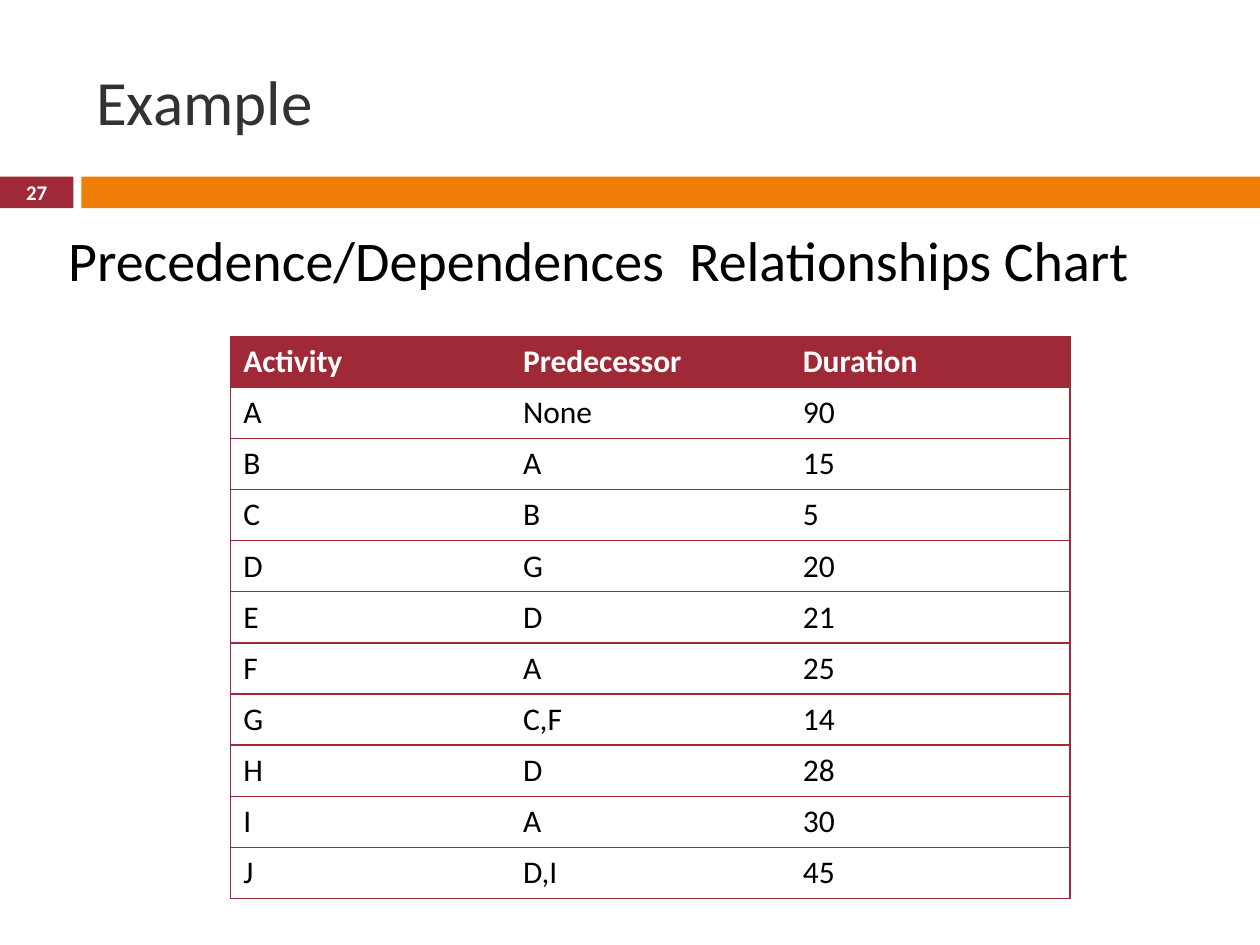
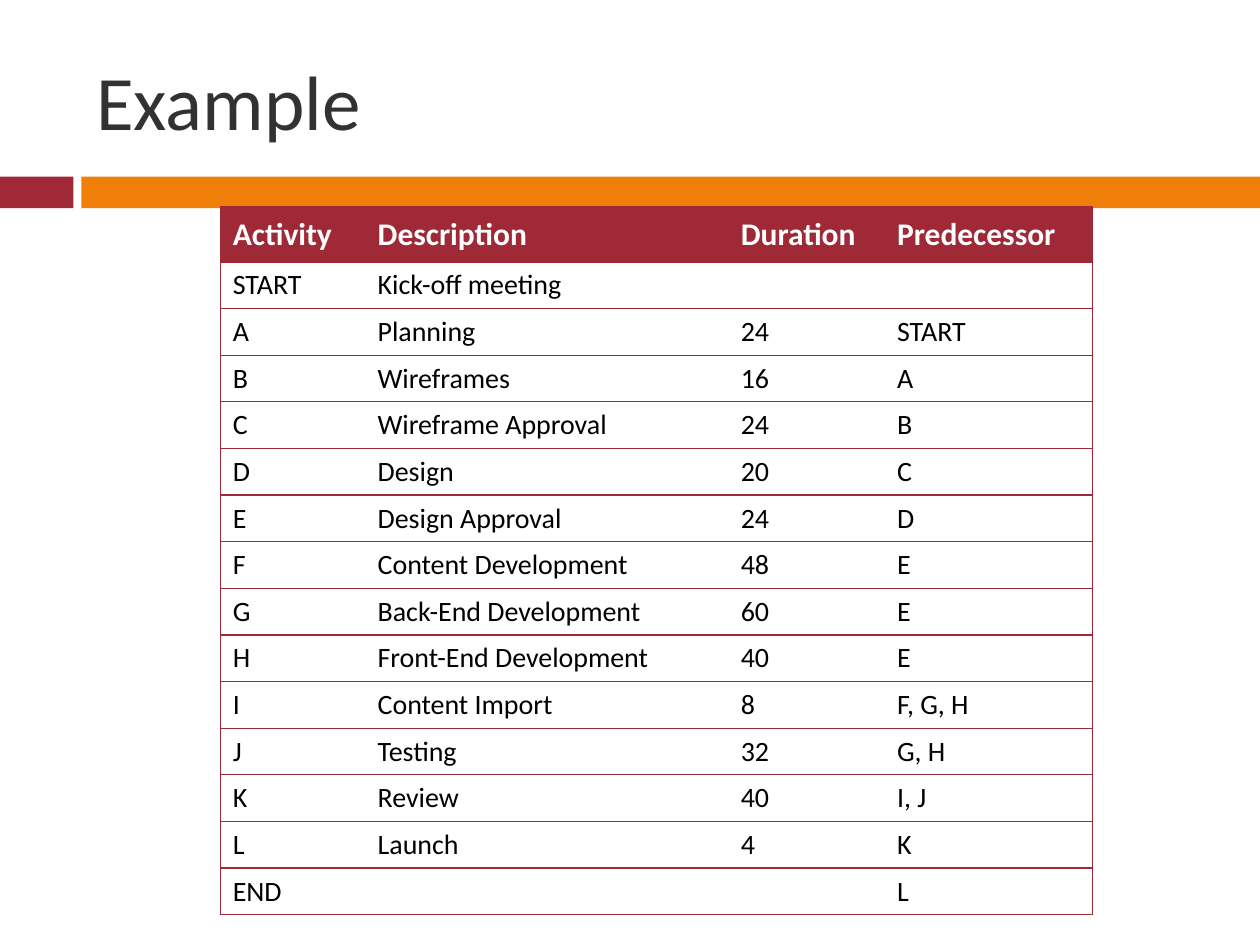
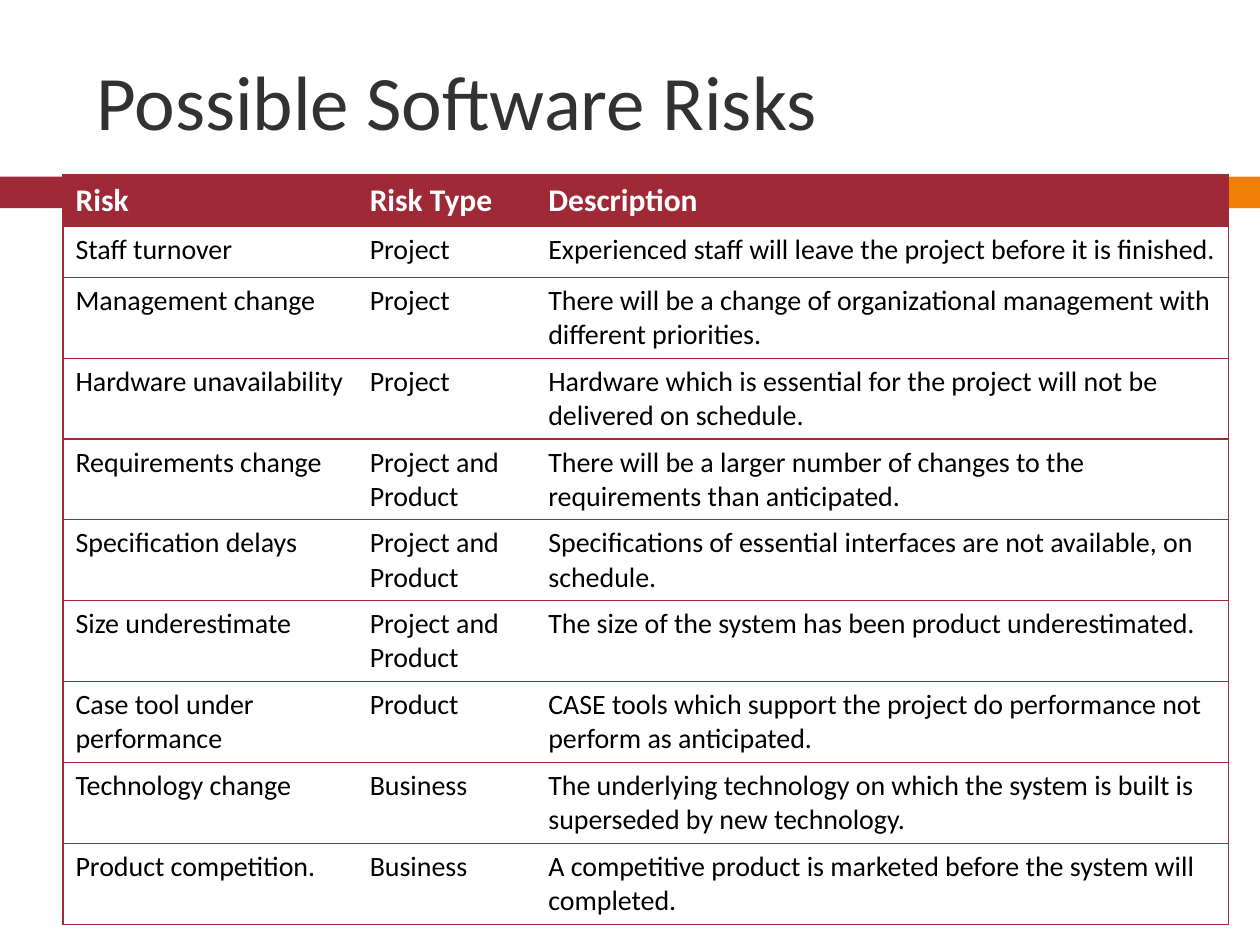
"""Build three slides on activity precedence, project planning and software risks."""
import dataclasses

import lxml.etree
import pptx
import pptx.dml.color
import pptx.enum.shapes
import pptx.enum.text
import pptx.oxml.ns
import pptx.util

Cm = pptx.util.Cm
Pt = pptx.util.Pt
ALIGN = pptx.enum.text.PP_ALIGN
ANCHOR = pptx.enum.text.MSO_ANCHOR


@dataclasses.dataclass(frozen=True)
class Theme:
    font: str = "Calibri"
    crimson: str = "9F2936"
    orange: str = "F07F09"
    charcoal: str = "323232"
    black: str = "000000"
    white: str = "FFFFFF"
    title_size: float = 44
    short_title_size: float = 36
    heading_size: float = 32
    header_size: float = 18
    body_size: float = 16
    number_size: float = 11.9
    rule_width: float = 0.79


class Deck:
    def __init__(self, theme, width, height):
        self.theme = theme
        self.width = width
        self.presentation = pptx.Presentation()
        self.presentation.slide_width = Cm(width)
        self.presentation.slide_height = Cm(height)
        self.slide = None

    def add_slide(self, title, size=None, number=None):
        self.slide = self.presentation.slides.add_slide(self.presentation.slide_layouts[6])
        self.band(0, 1.48, self.theme.crimson)
        self.band(1.64, self.width - 1.64, self.theme.orange)
        self.text(title, (1.69, 0.64, 22.65, 2.75), size or self.theme.title_size,
                  self.theme.charcoal, anchor=ANCHOR.MIDDLE)
        if number:
            self.text(number, (0, 3.53, 1.48, 0.68), self.theme.number_size, self.theme.white,
                      bold=True, align=ALIGN.CENTER, anchor=ANCHOR.MIDDLE, inset=0)

    def band(self, left, width, color):
        strip = self.slide.shapes.add_shape(pptx.enum.shapes.MSO_SHAPE.RECTANGLE,
                                            Cm(left), Cm(3.56), Cm(width), Cm(0.64))
        strip.shadow.inherit = False
        strip.fill.solid()
        strip.fill.fore_color.rgb = pptx.dml.color.RGBColor.from_string(color)
        strip.line.fill.background()

    def text(self, words, box, size, color, bold=False, align=ALIGN.LEFT,
             anchor=ANCHOR.TOP, inset=0.25):
        frame = self.slide.shapes.add_textbox(*map(Cm, box)).text_frame
        layout = {"word_wrap": True, "vertical_anchor": anchor,
                  "margin_left": Cm(inset), "margin_right": Cm(inset),
                  "margin_top": Cm(inset / 2), "margin_bottom": Cm(inset / 2)}
        for name, value in layout.items():
            setattr(frame, name, value)
        frame.paragraphs[0].alignment = align
        self.wording(frame.paragraphs[0], words, size, color, bold)

    def wording(self, paragraph, words, size, color, bold):
        if not words:
            paragraph._p.get_or_add_endParaRPr().set("sz", str(int(size * 100)))
            return
        run = paragraph.add_run()
        run.text = words
        for name, value in {"name": self.theme.font, "size": Pt(size), "bold": bold}.items():
            setattr(run.font, name, value)
        run.font.color.rgb = pptx.dml.color.RGBColor.from_string(color)

    def table(self, records, left, top, columns, rows, size, anchor=ANCHOR.TOP):
        grid = self.slide.shapes.add_table(len(rows), len(columns), Cm(left), Cm(top),
                                           Cm(sum(columns)), Cm(sum(rows))).table
        grid.horz_banding = False
        for column, width in zip(grid.columns, columns):
            column.width = Cm(width)
        for row, height in zip(grid.rows, rows):
            row.height = Cm(height)
        for r, record in enumerate(records):
            for c, words in enumerate(record):
                cell = grid.cell(r, c)
                cell.vertical_anchor = anchor
                if r == 0:
                    cell.fill.solid()
                    cell.fill.fore_color.rgb = pptx.dml.color.RGBColor.from_string(
                        self.theme.crimson)
                    style = self.theme.header_size, self.theme.white, True
                else:
                    cell.fill.background()
                    style = size, self.theme.black, False
                self.wording(cell.text_frame.paragraphs[0], words, *style)
                self.borders(cell, c == 0, c == len(columns) - 1)

    def borders(self, cell, first, last):
        qn = pptx.oxml.ns.qn
        properties = cell._tc.get_or_add_tcPr()
        sides = {"a:lnL": first, "a:lnR": last, "a:lnT": True, "a:lnB": True}
        for position, (side, ruled) in enumerate(sides.items()):
            rule = lxml.etree.Element(qn(side), w=str(Pt(self.theme.rule_width)))
            if ruled:
                fill = lxml.etree.SubElement(rule, qn("a:solidFill"))
                lxml.etree.SubElement(fill, qn("a:srgbClr"), val=self.theme.crimson)
            else:
                lxml.etree.SubElement(rule, qn("a:noFill"))
            properties.insert(position, rule)


PRECEDENCE = [
    ("Activity", "Predecessor", "Duration"),
    ("A", "None", "90"),
    ("B", "A", "15"),
    ("C", "B", "5"),
    ("D", "G", "20"),
    ("E", "D", "21"),
    ("F", "A", "25"),
    ("G", "C,F", "14"),
    ("H", "D", "28"),
    ("I", "A", "30"),
    ("J", "D,I", "45"),
]

PLAN = [
    ("Activity", "Description", "Duration", "Predecessor"),
    ("START", "Kick-off meeting", "", ""),
    ("A", "Planning", "24", "START"),
    ("B", "Wireframes", "16", "A"),
    ("C", "Wireframe Approval", "24", "B"),
    ("D", "Design", "20", "C"),
    ("E", "Design Approval", "24", "D"),
    ("F", "Content Development", "48", "E"),
    ("G", "Back-End Development", "60", "E"),
    ("H", "Front-End Development", "40", "E"),
    ("I", "Content Import", "8", "F, G, H"),
    ("J", "Testing", "32", "G, H"),
    ("K", "Review", "40", "I, J"),
    ("L", "Launch", "4", "K"),
    ("END", "", "", "L"),
]

RISKS = [
    ("Risk", "Risk Type", "Description"),
    ("Staff turnover", "Project",
     "Experienced staff will leave the project before it is finished."),
    ("Management change", "Project",
     "There will be a change of organizational management with different priorities."),
    ("Hardware unavailability", "Project",
     "Hardware which is essential for the project will not be delivered on schedule."),
    ("Requirements change", "Project and Product",
     "There will be a larger number of changes to the requirements than anticipated."),
    ("Specification delays", "Project and Product",
     "Specifications of essential interfaces are not available, on schedule."),
    ("Size underestimate", "Project and Product",
     "The size of the system has been product underestimated."),
    ("Case tool under performance", "Product",
     "CASE tools which support the project do performance not perform as anticipated."),
    ("Technology change", "Business",
     "The underlying technology on which the system is built is superseded by new technology."),
    ("Product competition.", "Business",
     "A competitive product is marketed before the system will completed."),
]


def main():
    theme = Theme()
    deck = Deck(theme, 25.4, 19.05)

    deck.add_slide("Example", theme.short_title_size, "27")
    deck.text("Precedence/Dependences  Relationships Chart", (0.43, 4.42, 23.29, 1.63),
              theme.heading_size, theme.black, align=ALIGN.CENTER)
    deck.table(PRECEDENCE, 4.65, 6.78, [5.64] * 3, [1.03] * len(PRECEDENCE), theme.header_size)

    deck.add_slide("Example")
    deck.table(PLAN, 4.44, 4.17, [2.92, 7.32, 3.15, 4.19],
               [1.11] + [0.94] * (len(PLAN) - 1), theme.body_size, ANCHOR.MIDDLE)

    deck.add_slide("Possible Software Risks")
    deck.table(RISKS, 1.27, 3.53, [5.93, 3.6, 13.97],
               [1.03] * 2 + [1.63] * (len(RISKS) - 2), theme.body_size)

    deck.presentation.save("out.pptx")


if __name__ == "__main__":
    main()
